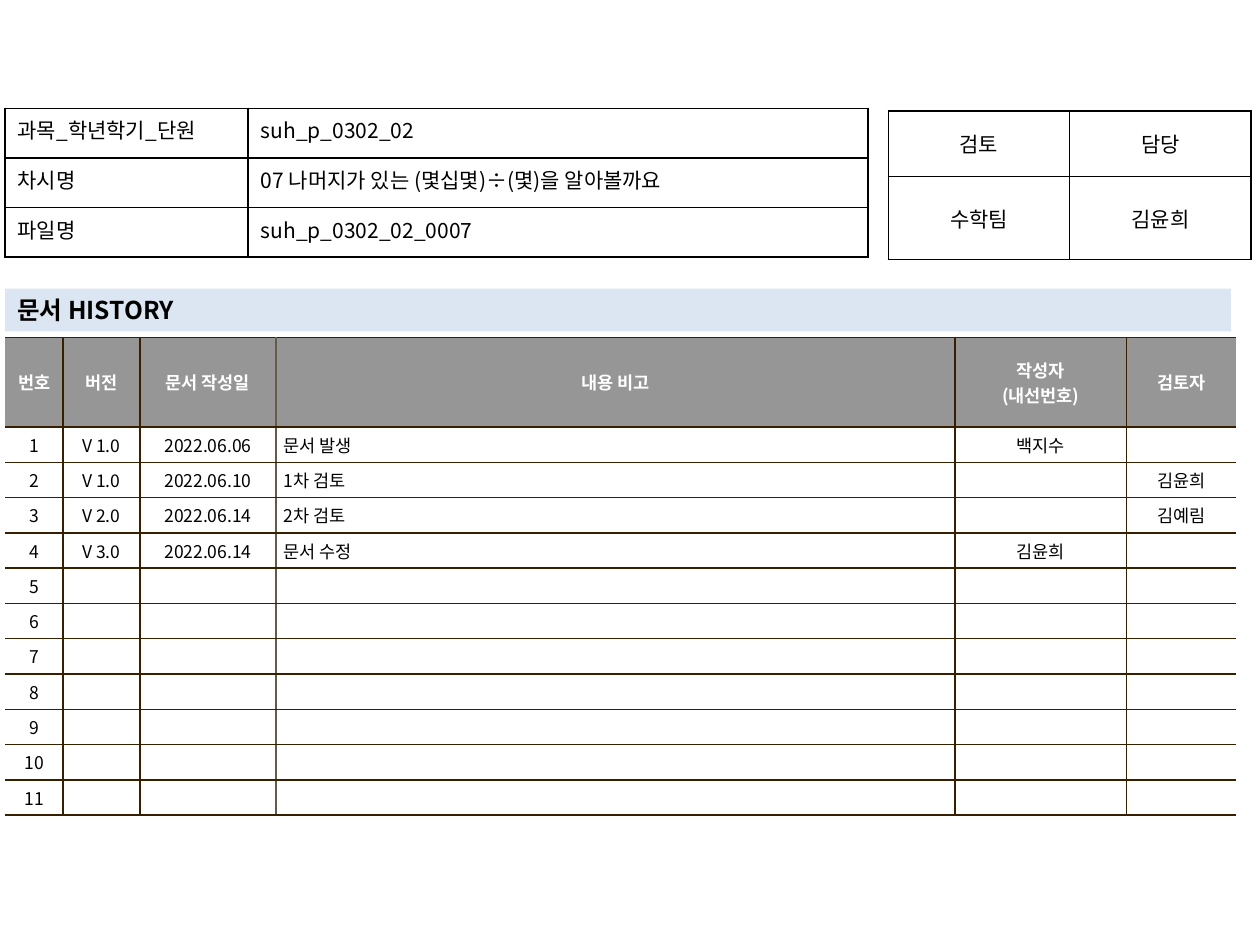
from lxml.etree import SubElement
from pptx import Presentation
from pptx.dml.color import RGBColor
from pptx.enum.shapes import MSO_SHAPE as Shape
from pptx.enum.text import MSO_ANCHOR as Anchor, PP_ALIGN as Align
from pptx.oxml.ns import qn
from pptx.util import Inches, Pt

COLORS = {
    "black": "000000", "white": "FFFFFF", "band": "DCE6F2",
    "header": "969696", "rule": "362000", "soft_rule": "645B4C",
}
CENTER, LEFT, JUSTIFY = Align.CENTER, Align.LEFT, Align.JUSTIFY


class SlideBuilder:
    """Draws styled elements on one slide, over a grid of 100 columns by 75 rows."""

    font_name = "Noto Sans CJK KR"

    def __init__(self, deck):
        self.page = deck.slides.add_slide(deck.slide_layouts[6])
        self.column = deck.slide_width / 100
        self.row = deck.slide_height / 75

    def place(self, left, top, width, height):
        return (round(left * self.column), round(top * self.row),
                round(width * self.column), round(height * self.row))

    def color(self, name):
        return RGBColor.from_string(COLORS[name])

    def set_text(self, frame, text, size, color="black", bold=False, align=LEFT):
        frame.text = text
        for para in frame.paragraphs:
            para.alignment = align
            font = para.font
            font.name, font.size, font.bold = self.font_name, Pt(size), bold
            font.color.rgb = self.color(color)
            defaults = para._p.pPr.find(qn("a:defRPr"))
            SubElement(defaults, qn("a:ea"), typeface=self.font_name)
            if not text:
                SubElement(para._p, qn("a:endParaRPr"), sz=str(size * 100))

    def border(self, cell, side, color):
        line = SubElement(cell._tc.get_or_add_tcPr(), qn(f"a:ln{side}"), w=str(Pt(1)))
        if color:
            fill = SubElement(line, qn("a:solidFill"))
            SubElement(fill, qn("a:srgbClr"), val=COLORS[color])
        else:
            SubElement(line, qn("a:noFill"))

    def table(self, left, top, widths, heights, texts, aligns, rules, size=12,
              insets=(0.1, 0.05), anchor=Anchor.MIDDLE, fill=None, header=None):
        area = self.place(left, top, sum(widths), sum(heights))
        grid = self.page.shapes.add_table(len(heights), len(widths), *area).table
        grid.first_row = grid.horz_banding = False
        for column, width in zip(grid.columns, widths):
            column.width = round(width * self.column)
        for row, height in zip(grid.rows, heights):
            row.height = round(height * self.row)
        for r, values in enumerate(texts):
            is_header = bool(header) and r == 0
            cell_fill = header if is_header else fill
            for c, text in enumerate(values):
                cell = grid.cell(r, c)
                cell.vertical_anchor = anchor
                cell.margin_left = cell.margin_right = Inches(insets[0])
                cell.margin_top = cell.margin_bottom = Inches(insets[1])
                edges = zip("LRTB", (rules[c], rules[c + 1], rules[1], rules[1]))
                for side, color in edges:
                    self.border(cell, side, color)
                if cell_fill:
                    cell.fill.solid()
                    cell.fill.fore_color.rgb = self.color(cell_fill)
                else:
                    cell.fill.background()
                self.set_text(cell.text_frame, text, size,
                              "white" if is_header else "black", is_header,
                              CENTER if is_header else aligns[c])

    def band(self, left, top, width, height, text):
        box = self.page.shapes.add_shape(
            Shape.RECTANGLE, *self.place(left, top, width, height))
        box.shadow.inherit = False
        box.fill.solid()
        box.fill.fore_color.rgb = self.color("band")
        box.line.fill.background()
        box.text_frame.vertical_anchor = Anchor.MIDDLE
        self.set_text(box.text_frame, text, 14, bold=True)


def main():
    deck = Presentation()
    deck.slide_width, deck.slide_height = Inches(10), Inches(7.5)
    slide = SlideBuilder(deck)

    history = [
        ("번호", "버전", "문서 작성일", "내용 비고", "작성자\n(내선번호)", "검토자"),
        ("1", "V 1.0", "2022.06.06", "문서 발생", "백지수", ""),
        ("2", "V 1.0", "2022.06.10", "1차 검토", "", "김윤희"),
        ("3", "V 2.0", "2022.06.14", "2차 검토", "", "김예림"),
        ("4", "V 3.0", "2022.06.14", "문서 수정", "김윤희", ""),
    ]
    history += [(str(number), "", "", "", "", "") for number in range(5, 12)]
    slide.table(
        0.4, 26.8, (4.6, 6.1, 10.8, 53.9, 13.6, 8.7), [7.1] + [2.8] * 11, history,
        (CENTER, CENTER, CENTER, LEFT, CENTER, CENTER),
        (None, "rule", "rule", "soft_rule", "rule", "rule", None),
        size=10, insets=(0.06, 0.04), fill="white", header="header")

    slide.table(
        70.5, 8.8, (14.4, 14.4), (5.2, 6.6),
        [("검토", "담당"), ("수학팀", "김윤희")],
        (CENTER, CENTER), ["black"] * 3)

    slide.band(0.4, 22.9, 97.3, 3.4, "문서 HISTORY")

    slide.table(
        0.4, 8.6, (19.3, 49.2), [3.94] * 3,
        [("과목_학년학기_단원", "suh_p_0302_02"),
         ("차시명", "07 나머지가 있는 (몇십몇)÷(몇)을 알아볼까요"),
         ("파일명", "suh_p_0302_02_0007")],
        (JUSTIFY, LEFT), ["black"] * 3, anchor=Anchor.TOP)

    deck.save("out.pptx")


if __name__ == "__main__":
    main()
